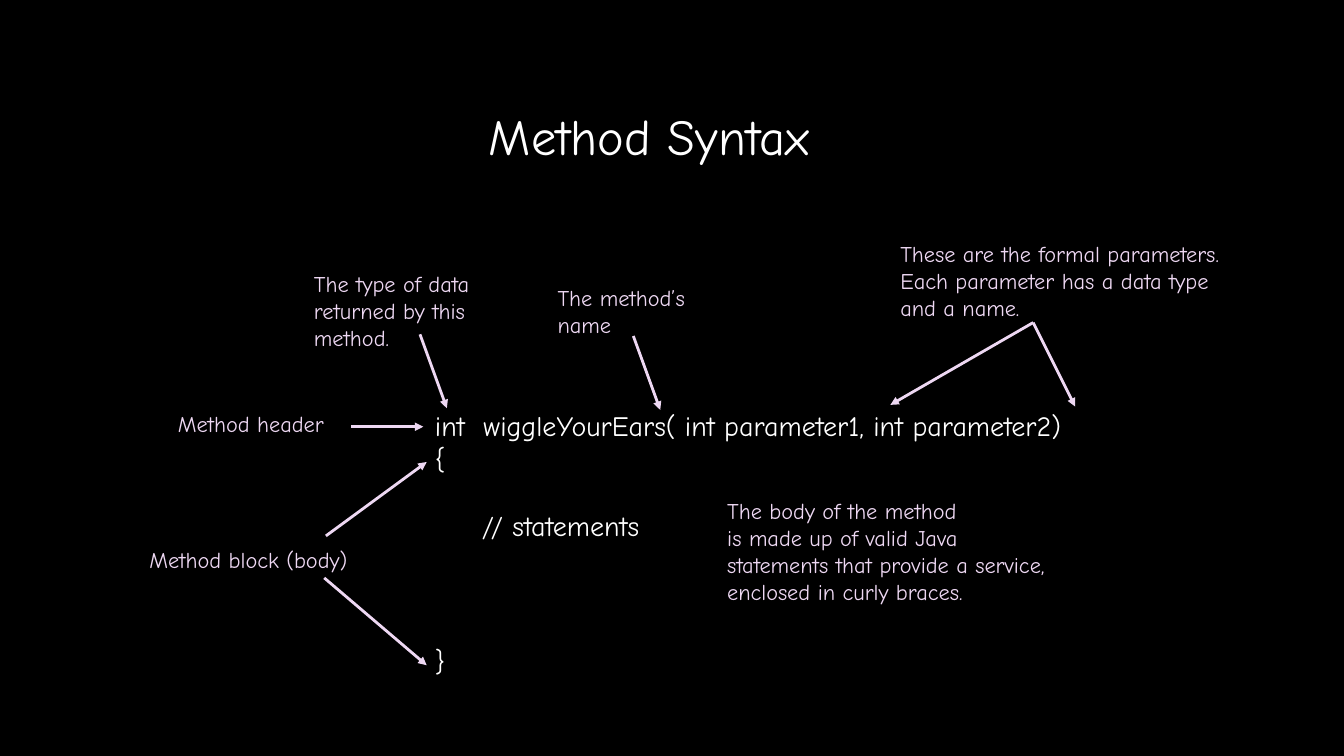
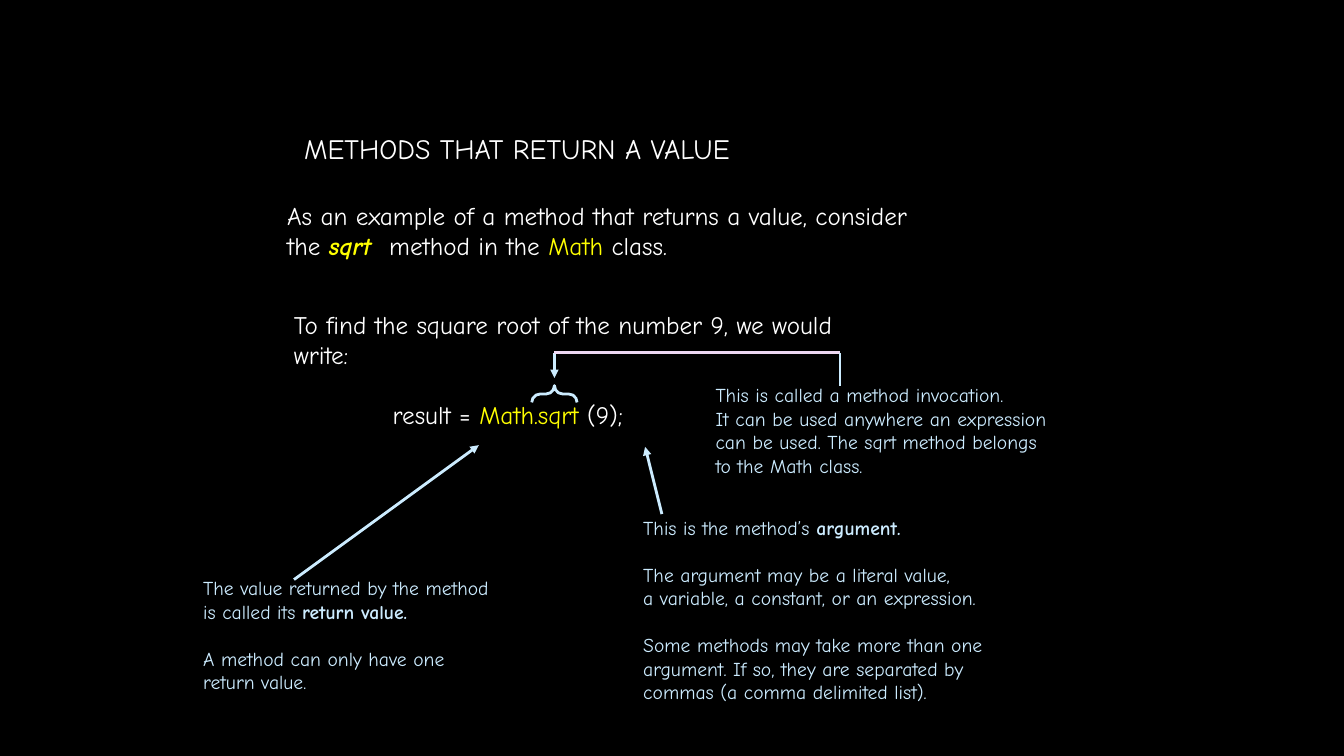
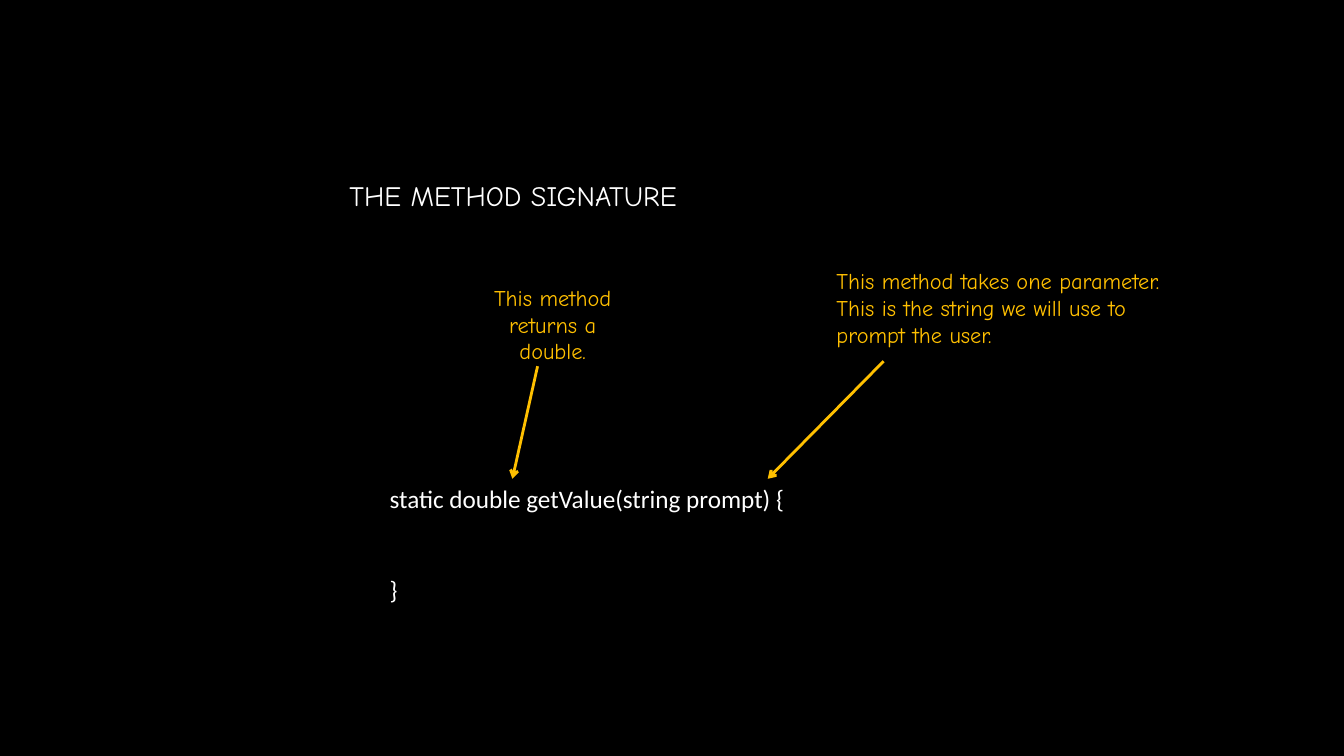
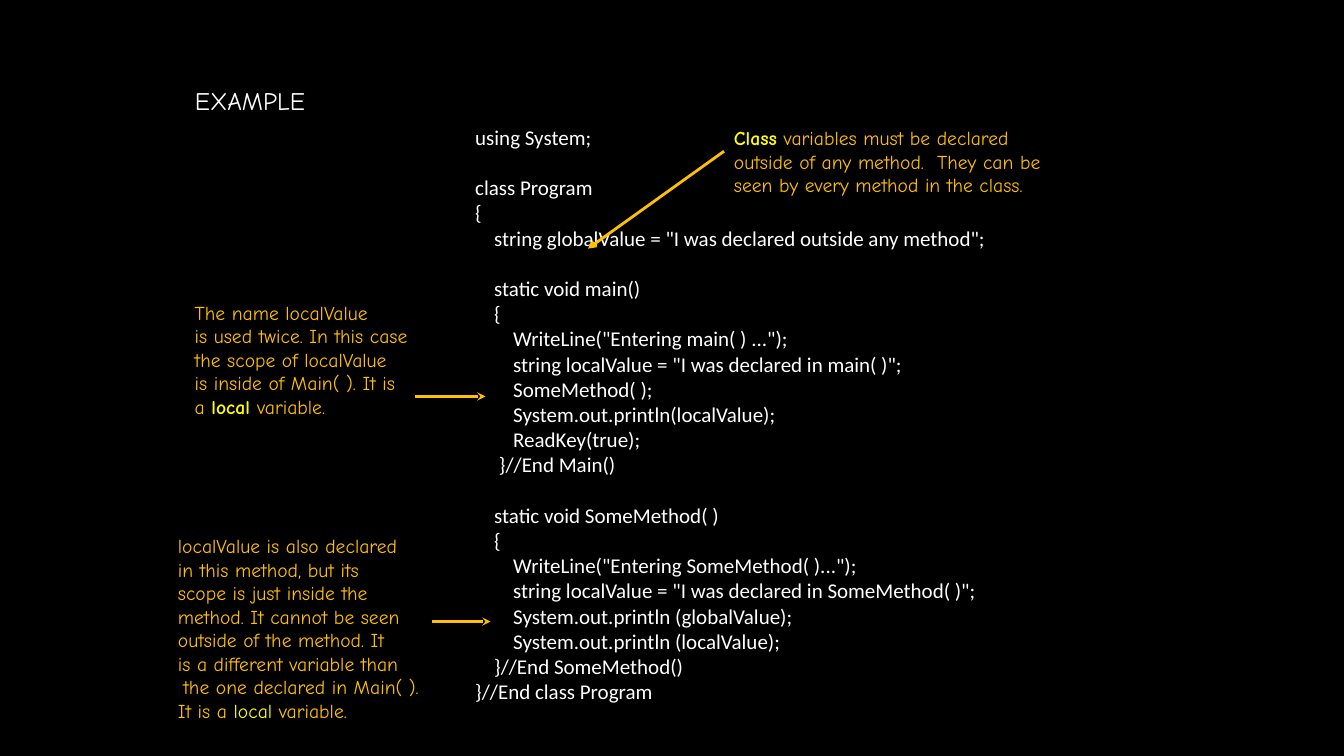
from dataclasses import dataclass, replace

from lxml.etree import SubElement
from pptx import Presentation
from pptx.dml.color import RGBColor
from pptx.enum.shapes import MSO_CONNECTOR, MSO_SHAPE
from pptx.enum.text import MSO_ANCHOR, MSO_AUTO_SIZE, PP_ALIGN
from pptx.oxml.ns import qn
from pptx.util import Inches, Pt

COLUMNS, ROWS = 80, 45
CELL = Inches(1) // 6
TITLE_ONLY = 5


@dataclass(frozen=True)
class Style:
    size: float
    color: str
    font: str = "Comic Neue"
    align: PP_ALIGN = PP_ALIGN.LEFT


@dataclass(frozen=True)
class Theme:
    background: str = "000000"
    white: str = "FFFFFF"
    lilac: str = "EED8F3"
    ice: str = "CCECFF"
    amber: str = "FFC000"
    yellow: str = "FFFF00"
    code_font: str = "Calibri"
    line_width: float = 2
    line_spacing: float = 1.2
    heading: float = 36
    subheading: float = 20
    body: float = 18
    note: float = 16
    small_note: float = 14
    listing: float = 15


THEME = Theme()
SPACE_SHARES = {"Comic Neue": 0.28, "Calibri": 0.226}
KEYWORD = {"color": THEME.yellow}
BOLD = {"bold": True}
BOLD_KEYWORD = KEYWORD | BOLD

METHOD_CODE = """\
int  wiggleYourEars( int parameter1, int parameter2)
{

      // statements



}"""

SQRT_CODE = """\
To find the square root of the number 9, we would
write:

              result = |Math.sqrt |(9);"""

SIGNATURE_CODE = """\
static double getValue(string prompt) {


}"""

PROGRAM_CODE = """\
using System;

class Program
{
    string globalValue = "I was declared outside any method";

    static void main()
    {
        WriteLine("Entering main( ) ...");
        string localValue = "I was declared in main( )";
        SomeMethod( );
        System.out.println(localValue);
        ReadKey(true);
     }//End Main()

    static void SomeMethod( )
    {
        WriteLine("Entering SomeMethod( )...");
        string localValue = "I was declared in SomeMethod( )";
        System.out.println (globalValue);
        System.out.println (localValue);
    }//End SomeMethod()
}//End class Program"""


def cells(*counts):
    return [round(count * CELL) for count in counts]


def add_span(para, text, style, color=None, **emphasis):
    span = para.add_run()
    span.text = text
    values = {"name": style.font, "size": Pt(style.size), "bold": False} | emphasis
    for name, value in values.items():
        setattr(span.font, name, value)
    span.font.color.rgb = RGBColor.from_string(color or style.color)


def write_text(frame, text, style, emphases=()):
    """Fill a frame, one paragraph a line.

    A blank line becomes space before the next paragraph, leading spaces become
    an indent, and each |marked| piece takes the next of the emphases.
    """
    emphases = iter(emphases)
    para, gap = frame.paragraphs[0], 0
    for number, line in enumerate(text.split("\n")):
        content = line.lstrip()
        if not content:
            gap += 1
            continue
        if number:
            para = frame.add_paragraph()
        para.alignment = style.align
        para.space_before = Pt(gap * style.size * THEME.line_spacing)
        spaces = len(line) - len(content)
        if spaces:
            margin = Pt(spaces * style.size * SPACE_SHARES[style.font])
            para._p.get_or_add_pPr().set("marL", str(margin))
        for index, piece in enumerate(content.split("|")):
            if piece:
                add_span(para, piece, style, **(next(emphases) if index % 2 else {}))
        gap = 0


def add_text(page, area, text, style, emphases=()):
    box = page.shapes.add_textbox(*cells(*area))
    box.text_frame.word_wrap = True
    write_text(box.text_frame, text, style, emphases)


def add_page(deck, title, area, size):
    page = deck.slides.add_slide(deck.slide_layouts[TITLE_ONLY])
    box = page.shapes.title
    for name, value in zip(("left", "top", "width", "height"), cells(*area)):
        setattr(box, name, value)
    frame = box.text_frame
    frame.auto_size = MSO_AUTO_SIZE.NONE
    frame.vertical_anchor = MSO_ANCHOR.MIDDLE
    write_text(frame, title, Style(size, THEME.white))
    return page


def format_line(line, color, width=THEME.line_width):
    line.color.rgb = RGBColor.from_string(color)
    line.width = Pt(width)


def add_line(page, start, end, color, head=None, width=THEME.line_width):
    connector = page.shapes.add_connector(MSO_CONNECTOR.STRAIGHT, *cells(*start, *end))
    format_line(connector.line, color, width)
    properties = connector._element.spPr
    if head:
        SubElement(properties.find(qn("a:ln")), qn("a:tailEnd"), type=head)
    SubElement(properties, qn("a:effectLst"))


def add_brace(page, area, color):
    brace = page.shapes.add_shape(MSO_SHAPE.RIGHT_BRACE, *cells(*area))
    brace.rotation = 270
    brace.shadow.inherit = False
    brace.fill.background()
    format_line(brace.line, color)
    for index in range(2):
        brace.adjustments[index] = 0.5


def add_syntax_page(deck):
    page = add_page(deck, "Method Syntax", (28.5, 5.9, 23, 4.3), THEME.heading)
    add_text(page, (25.3, 24, 42.5, 16.8), METHOD_CODE,
             Style(THEME.subheading, THEME.white))
    notes = [
        ((18.1, 15.8, 11.8, 5.5), "The type of data\nreturned by this\nmethod."),
        ((32.6, 16.6, 9.6, 3.8), "The method’s\nname"),
        ((53, 14, 22.6, 5.5), "These are the formal parameters.\n"
                              "Each parameter has a data type\nand a name."),
        ((42.7, 29.3, 24, 7.1), "The body of the method\nis made up of valid Java\n"
                                "statements that provide a service,\n"
                                "enclosed in curly braces."),
        ((10, 24.1, 10.8, 2.2), "Method header"),
        ((8.3, 32.2, 14.1, 2.2), "Method block (body)"),
    ]
    for area, text in notes:
        add_text(page, area, text, Style(THEME.note, THEME.lilac))
    arrows = [
        ((25, 19.9), (26.6, 24.3)),
        ((37.7, 20), (39.3, 24.4)),
        ((61.5, 19.2), (53, 24.1)),
        ((61.5, 19.2), (64, 24.2)),
        ((20.9, 25.4), (25.2, 25.4)),
        ((19.4, 31.9), (25.4, 27.5)),
        ((19.3, 34.4), (25.4, 39.6)),
    ]
    for start, end in arrows:
        add_line(page, start, end, THEME.lilac, "triangle")


def add_return_page(deck):
    page = add_page(deck, "METHODS THAT RETURN A VALUE", (17.5, 6, 33.8, 5.6),
                    THEME.subheading)
    body = Style(THEME.body, THEME.white)
    add_text(page, (16.5, 11.6, 41.6, 4.3),
             "As an example of a method that returns a value, consider\n"
             "the |sqrt  |method in the |Math |class.",
             body, [BOLD_KEYWORD | {"italic": True}, KEYWORD])
    add_text(page, (16.9, 18.1, 36.9, 7.9), SQRT_CODE, body, [KEYWORD])
    notes = [
        ((37.7, 30.4, 22.9, 11.9),
         "This is the method’s |argument.|\n\n"
         "The argument may be a literal value,\n"
         "a variable, a constant, or an expression.\n\n"
         "Some methods may take more than one\n"
         "argument. If so, they are separated by\n"
         "commas (a comma delimited list)."),
        ((11.5, 34, 20, 7.7),
         "The value returned by the method\nis called its |return value.|\n\n"
         "A method can only have one\nreturn value."),
        ((42, 22.5, 22.5, 6.2),
         "This is called a method invocation.\n"
         "It can be used anywhere an expression\n"
         "can be used. The sqrt method belongs\nto the Math class."),
    ]
    for area, text in notes:
        add_text(page, area, text, Style(THEME.small_note, THEME.ice), [BOLD])
    add_brace(page, (32.5, 22.1, 1, 2.7), THEME.ice)
    lines = [
        ((39.4, 30.6), (38.4, 26.6), THEME.ice, "triangle"),
        ((33, 21), (33, 22.5), THEME.ice, "triangle"),
        ((33, 21), (50, 21), THEME.lilac, None),
        ((50, 21), (50, 23), THEME.ice, None),
        ((17.5, 34.5), (28.5, 26.5), THEME.ice, "triangle"),
    ]
    for line in lines:
        add_line(page, *line)


def add_signature_page(deck):
    page = add_page(deck, "THE METHOD SIGNATURE", (20.2, 10.3, 23.6, 2.6),
                    THEME.subheading)
    add_text(page, (22.6, 28.5, 26.5, 7.9), SIGNATURE_CODE,
             Style(THEME.body, THEME.white, THEME.code_font))
    note = Style(THEME.note, THEME.amber)
    add_text(page, (28.4, 16.6, 9, 5.5), "This method\nreturns a\ndouble.",
             replace(note, align=PP_ALIGN.CENTER))
    add_text(page, (49.2, 15.6, 22.7, 5.5),
             "This method takes one parameter.\n"
             "This is the string we will use to\nprompt the user.", note)
    for start, end in [((32, 21.8), (30.5, 28.5)), ((52.6, 21.5), (45.7, 28.5))]:
        add_line(page, start, end, THEME.amber, "arrow")


def add_example_page(deck):
    page = add_page(deck, "EXAMPLE", (11, 4.8, 17.5, 2.3), THEME.body)
    add_text(page, (27.7, 7.1, 33, 35.5), PROGRAM_CODE,
             Style(THEME.listing, THEME.white, THEME.code_font))
    notes = [
        ((43.1, 7.2, 21, 4.9), BOLD_KEYWORD,
         "|Class| variables must be declared\n"
         "outside of any method.  They can be\n"
         "seen by every method in the class."),
        ((11, 17.6, 15.5, 7.7), BOLD_KEYWORD,
         "The name localValue\nis used twice. In this case\n"
         "the scope of localValue\nis inside of Main( ). It is\n"
         "a |local |variable."),
        ((10, 31.5, 16.6, 11.9), KEYWORD,
         "localValue is also declared\nin this method, but its\n"
         "scope is just inside the\nmethod. It cannot be seen\n"
         "outside of the method. It\nis a different variable than\n"
         " the one declared in Main( ).\nIt is a |local| variable."),
    ]
    for area, emphasis, text in notes:
        add_text(page, area, text, Style(THEME.small_note, THEME.amber), [emphasis])
    arrows = [
        ((43.1, 9), (35, 14.8), "triangle", THEME.line_width),
        ((24.7, 23.6), (28.9, 23.6), "stealth", THEME.line_width),
        ((25.7, 37), (29.2, 37), "stealth", 1.75),
    ]
    for start, end, head, width in arrows:
        add_line(page, start, end, THEME.amber, head, width)


def main():
    deck = Presentation()
    deck.slide_width, deck.slide_height = cells(COLUMNS, ROWS)
    fill = deck.slide_master.background.fill
    fill.solid()
    fill.fore_color.rgb = RGBColor.from_string(THEME.background)
    for build in (add_syntax_page, add_return_page, add_signature_page, add_example_page):
        build(deck)
    deck.save("out.pptx")


if __name__ == "__main__":
    main()
